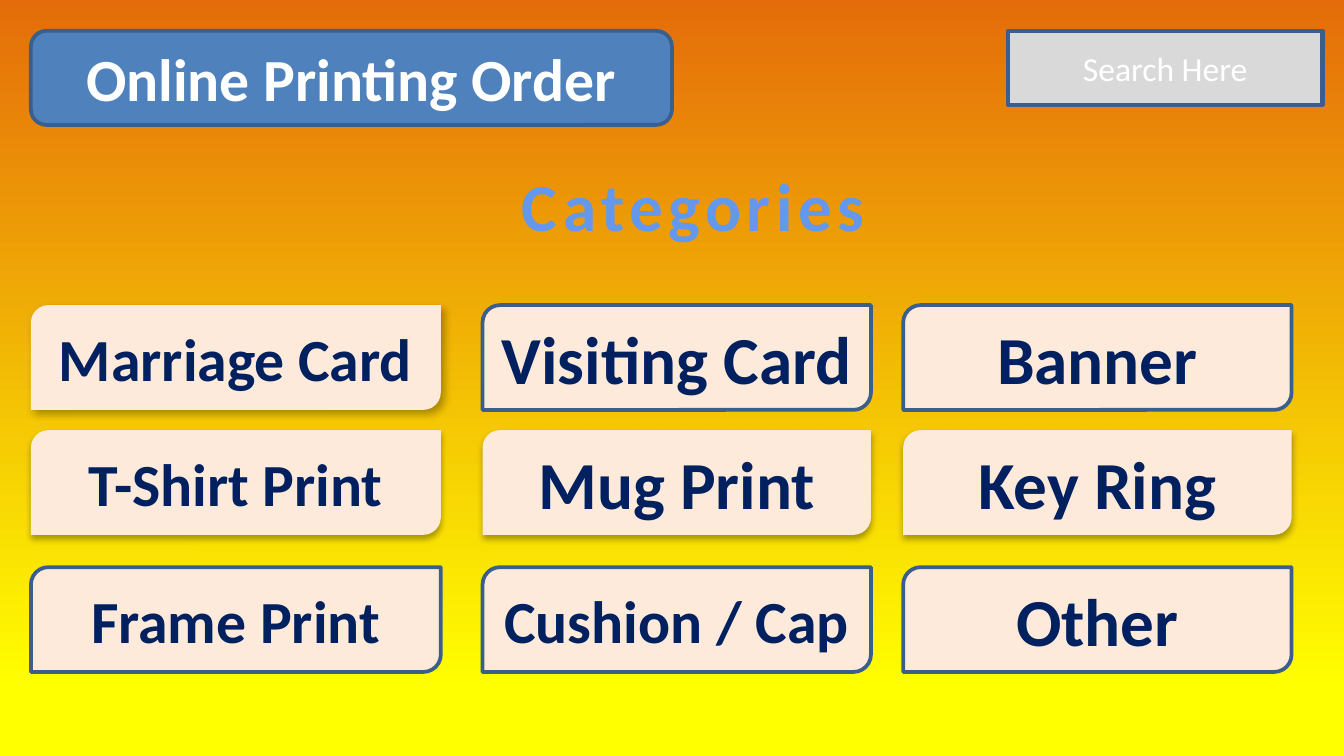
from dataclasses import dataclass
from typing import Optional

from lxml.etree import SubElement
from pptx import Presentation
from pptx.dml.color import RGBColor
from pptx.enum.shapes import MSO_SHAPE
from pptx.enum.text import MSO_ANCHOR, MSO_AUTO_SIZE, PP_ALIGN
from pptx.oxml import parse_xml
from pptx.oxml.ns import nsdecls, qn
from pptx.util import Inches, Pt

COLORS = {
    "orange": "E46C0A", "yellow": "FFFF00", "blue": "4F81BD", "border": "3A5F8C",
    "grey": "D9D9D9", "white": "FFFFFF", "peach": "FDEADA", "navy": "002060",
    "sky": "6398ED", "deep_blue": "265EA0", "pale": "F4F6F9", "black": "000000",
}

SLIDE_WIDTH = 10
SLIDE_HEIGHT = SLIDE_WIDTH * 9 / 16


@dataclass(frozen=True)
class Shadow:
    blur: float
    distance: float
    angle: int
    opacity: int


@dataclass(frozen=True)
class Category:
    label: str
    size: int = 36
    shadow: Optional[Shadow] = None


CORNER_SHADOW = Shadow(4.5, 2.6, 53, 30)
LOWER_SHADOW = Shadow(3.5, 2.2, 90, 32)

# Category grid
COLUMNS = [(0.23, 3.05), (3.59, 2.89), (6.72, 2.89)]
ROW_TOPS = [2.27, 3.2, 4.22]
CARD_HEIGHT = 0.78
CATEGORIES = [
    [Category("Marriage Card", 32, CORNER_SHADOW), Category("Visiting Card"),
     Category("Banner")],
    [Category("T-Shirt Print", 32, LOWER_SHADOW),
     Category("Mug Print", shadow=LOWER_SHADOW),
     Category("Key Ring", shadow=LOWER_SHADOW)],
    [Category("Frame Print", 32), Category("Cushion / Cap", 32), Category("Other")],
]


def rgb(name: str) -> RGBColor:
    return RGBColor.from_string(COLORS[name])


def set_gradient(fill, stops, angle: int = 270) -> None:
    fill.gradient()
    fill.gradient_angle = angle
    for stop, (position, color) in zip(fill.gradient_stops, stops):
        stop.position = position
        stop.color.rgb = rgb(color)


def write_text(shape, text: str, *, size: int, color: str, bold: bool = True,
               anchor=MSO_ANCHOR.MIDDLE, wrap: bool = True):
    frame = shape.text_frame
    frame.word_wrap = wrap
    frame.vertical_anchor = anchor
    paragraph = frame.paragraphs[0]
    paragraph.alignment = PP_ALIGN.CENTER
    run = paragraph.add_run()
    run.text = text
    font = run.font
    font.name, font.size, font.bold = "Calibri", Pt(size), bold
    font.color.rgb = rgb(color)
    return font


def add_shadow(shape, shadow: Shadow) -> None:
    effects = shape._element.spPr.find(qn("a:effectLst"))
    outer = SubElement(effects, qn("a:outerShdw"), blurRad=str(Pt(shadow.blur)),
                       dist=str(Pt(shadow.distance)), dir=str(shadow.angle * 60000),
                       algn="tl", rotWithShape="0")
    tint = SubElement(outer, qn("a:srgbClr"), val=COLORS["black"])
    SubElement(tint, qn("a:alpha"), val=str(shadow.opacity * 1000))


def add_box(slide, kind, left: float, top: float, width: float, height: float,
            fill: str, line_width: float = 2, shadow: Optional[Shadow] = None):
    box = slide.shapes.add_shape(kind, Inches(left), Inches(top),
                                 Inches(width), Inches(height))
    box.fill.solid()
    box.fill.fore_color.rgb = rgb(fill)
    box.shadow.inherit = False
    if shadow:
        box.line.fill.background()
        add_shadow(box, shadow)
    else:
        box.line.color.rgb = rgb("border")
        box.line.width = Pt(line_width)
    return box


def add_heading(slide) -> None:
    heading = slide.shapes.title
    heading.left, heading.top = Inches(3.75), Inches(1.17)
    heading.width, heading.height = Inches(2.82), Inches(0.71)
    font = write_text(heading, "Categories", size=36, color="sky",
                      anchor=MSO_ANCHOR.TOP, wrap=False)
    heading.text_frame.auto_size = MSO_AUTO_SIZE.SHAPE_TO_FIT_TEXT
    set_gradient(font.fill, [(0.1, "sky"), (0.75, "deep_blue")])
    # Letter spacing and outline
    properties = heading.text_frame.paragraphs[0].runs[0]._r.get_or_add_rPr()
    properties.set("spc", "300")
    properties.insert(0, parse_xml(
        f'<a:ln {nsdecls("a")} w="{Pt(0.9)}"><a:solidFill>'
        f'<a:srgbClr val="{COLORS["pale"]}"/></a:solidFill></a:ln>'))


def main() -> None:
    deck = Presentation()
    deck.slide_width, deck.slide_height = Inches(SLIDE_WIDTH), Inches(SLIDE_HEIGHT)
    slide = deck.slides.add_slide(deck.slide_layouts[5])
    set_gradient(slide.background.fill, [(0, "orange"), (0.91, "yellow")])

    # Header: site name and search field
    site_name = add_box(slide, MSO_SHAPE.ROUNDED_RECTANGLE, 0.23, 0.23, 4.77, 0.7, "blue")
    write_text(site_name, "Online Printing Order", size=32, color="white")
    search = add_box(slide, MSO_SHAPE.RECTANGLE, 7.5, 0.23, 2.34, 0.55, "grey", 2.25)
    write_text(search, "Search Here", size=18, color="white", bold=False)

    add_heading(slide)

    # Category cards
    for top, row in zip(ROW_TOPS, CATEGORIES):
        for (left, width), category in zip(COLUMNS, row):
            card = add_box(slide, MSO_SHAPE.ROUND_2_DIAG_RECTANGLE, left, top, width,
                           CARD_HEIGHT, "peach", shadow=category.shadow)
            write_text(card, category.label, size=category.size, color="navy")

    deck.save("out.pptx")


if __name__ == "__main__":
    main()
